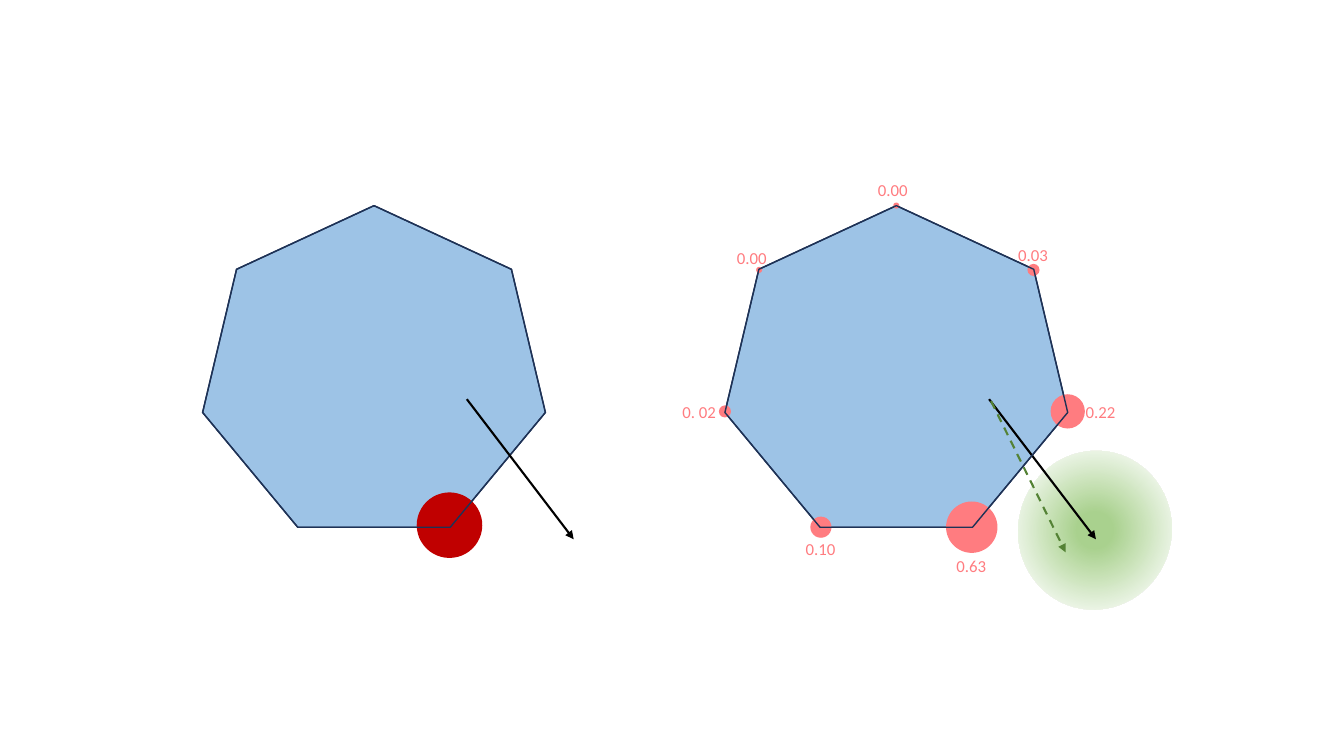
from dataclasses import dataclass

from lxml import etree
from pptx import Presentation
from pptx import util as u
from pptx.dml.color import RGBColor
from pptx.enum import dml, shapes, text
from pptx.oxml import parse_xml
from pptx.oxml.ns import nsdecls, qn


@dataclass(frozen=True)
class Theme:
    polygon: str = "9DC3E6"
    outline: str = "1E3256"
    chosen: str = "C00000"
    weight: str = "FF7C80"
    halo: str = "A9D18E"
    background: str = "FFFFFF"
    target: str = "000000"
    estimate: str = "548235"
    font: str = "Calibri"
    label_size: float = 12
    outline_width: float = 1
    arrow_width: float = 1.5


THEME = Theme()
COLUMNS, ROWS = 13.33, 7.5
CELL = u.Inches(1)
POLYGON_WIDTH, POLYGON_HEIGHT = 3.4, 3.19
PANEL_TOP = 2.04
LEFT_PANEL, RIGHT_PANEL = 2.01, 7.19
LABEL_HEIGHT = 0.3

VERTICES = {
    "top": (0.5, 0),
    "upper right": (0.9, 0.2),
    "right": (1, 0.64),
    "lower right": (0.72, 1),
    "lower left": (0.28, 1),
    "left": (0, 0.64),
    "upper left": (0.1, 0.2),
}

# vertex, dot diameter, label, label width, label offset from the vertex
WEIGHTS = [
    ("lower right", 0.51, "0.63", 0.5, (0, 0.38)),
    ("right", 0.34, "0.22", 0.5, (0.33, 0)),
    ("lower left", 0.21, "0.10", 0.5, (0, 0.22)),
    ("left", 0.12, "0. 02", 0.54, (-0.25, 0)),
    ("upper right", 0.12, "0.03", 0.5, (0, -0.15)),
    ("top", 0.06, "0.00", 0.5, (-0.03, -0.16)),
    ("upper left", 0.06, "0.00", 0.5, (-0.07, -0.12)),
]


def cells(*lengths):
    return [round(length * CELL) for length in lengths]


def color(value):
    return RGBColor.from_string(value)


def vertex_point(panel_left, vertex):
    across, down = VERTICES[vertex]
    return panel_left + across * POLYGON_WIDTH, PANEL_TOP + down * POLYGON_HEIGHT


def centred_box(centre, width, height):
    return cells(centre[0] - width / 2, centre[1] - height / 2, width, height)


def add_heptagon(group, panel_left, filled):
    box = cells(panel_left, PANEL_TOP, POLYGON_WIDTH, POLYGON_HEIGHT)
    shape = group.shapes.add_shape(shapes.MSO_SHAPE.HEPTAGON, *box)
    shape.shadow.inherit = False
    if filled:
        shape.fill.solid()
        shape.fill.fore_color.rgb = color(THEME.polygon)
    else:
        shape.fill.background()
    shape.line.color.rgb = color(THEME.outline)
    shape.line.width = u.Pt(THEME.outline_width)


def add_ellipse(group, centre, width, height, fill):
    box = centred_box(centre, width, height)
    shape = group.shapes.add_shape(shapes.MSO_SHAPE.OVAL, *box)
    shape.shadow.inherit = False
    shape.fill.solid()
    shape.fill.fore_color.rgb = color(fill)
    shape.line.fill.background()
    return shape


def add_halo(group, centre):
    halo = add_ellipse(group, centre, 1.52, 1.58, THEME.halo)
    halo.rotation = 15
    gradient = parse_xml(
        f'<a:gradFill {nsdecls("a")} rotWithShape="1"><a:gsLst>'
        f'<a:gs pos="13000"><a:srgbClr val="{THEME.halo}"/></a:gs>'
        f'<a:gs pos="73000"><a:srgbClr val="{THEME.background}"/></a:gs>'
        '</a:gsLst><a:path path="circle">'
        '<a:fillToRect l="50000" t="50000" r="50000" b="50000"/>'
        '</a:path></a:gradFill>'
    )
    properties = halo.element.spPr
    properties.replace(properties.find(qn("a:solidFill")), gradient)


def add_arrow(group, panel_left, start, end, stroke, dashed=False):
    points = [(panel_left + x, PANEL_TOP + y) for x, y in (start, end)]
    arrow = group.shapes.add_connector(
        shapes.MSO_CONNECTOR.STRAIGHT, *cells(*points[0], *points[1])
    )
    arrow.line.color.rgb = color(stroke)
    arrow.line.width = u.Pt(THEME.arrow_width)
    if dashed:
        arrow.line.dash_style = dml.MSO_LINE.DASH
    properties = arrow.element.spPr
    etree.SubElement(properties.find(qn("a:ln")), qn("a:tailEnd"), type="triangle")
    etree.SubElement(properties, qn("a:effectLst"))


def add_target_arrow(group, panel_left):
    add_arrow(group, panel_left, (2.62, 1.92), (3.68, 3.31), THEME.target)


def add_label(group, centre, width, label):
    box = group.shapes.add_textbox(*centred_box(centre, width, LABEL_HEIGHT))
    frame = box.text_frame
    frame.word_wrap = False
    frame.auto_size = text.MSO_AUTO_SIZE.SHAPE_TO_FIT_TEXT
    run = frame.paragraphs[0].add_run()
    run.text = label
    run.font.name = THEME.font
    run.font.size = u.Pt(THEME.label_size)
    run.font.color.rgb = color(THEME.weight)


def add_weighted_panel(slide, panel_left):
    group = slide.shapes.add_group_shape()
    add_heptagon(group, panel_left, filled=True)
    add_halo(group, (panel_left + 3.67, PANEL_TOP + 3.22))
    add_target_arrow(group, panel_left)
    add_arrow(group, panel_left, (2.64, 1.94), (3.38, 3.44), THEME.estimate, dashed=True)
    for vertex, diameter, *_ in WEIGHTS:
        centre = vertex_point(panel_left, vertex)
        add_ellipse(group, centre, diameter, diameter, THEME.weight)
    add_heptagon(group, panel_left, filled=False)
    for vertex, _, label, width, (right, down) in WEIGHTS:
        x, y = vertex_point(panel_left, vertex)
        add_label(group, (x + right, y + down), width, label)


def add_single_choice_panel(slide, panel_left):
    group = slide.shapes.add_group_shape()
    add_heptagon(group, panel_left, filled=True)
    x, y = vertex_point(panel_left, "lower right")
    add_ellipse(group, (x, y - 0.02), 0.65, 0.65, THEME.chosen)
    add_heptagon(group, panel_left, filled=False)
    add_target_arrow(group, panel_left)


def main():
    presentation = Presentation()
    presentation.slide_width, presentation.slide_height = cells(COLUMNS, ROWS)
    slide = presentation.slides.add_slide(presentation.slide_layouts[6])
    add_weighted_panel(slide, RIGHT_PANEL)
    add_single_choice_panel(slide, LEFT_PANEL)
    presentation.save("out.pptx")


if __name__ == "__main__":
    main()
